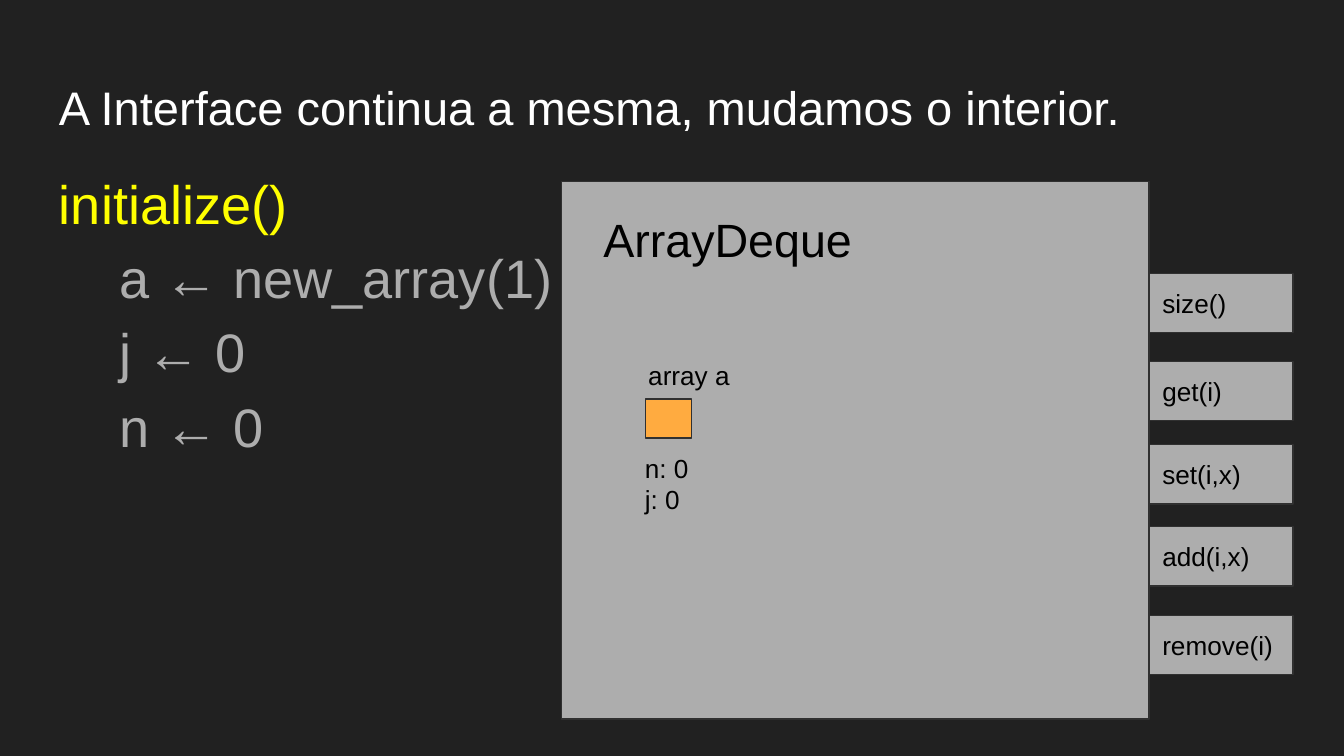
from dataclasses import dataclass
from pptx import Presentation, util as u
from pptx.dml.color import RGBColor
from pptx.enum import shapes, text

PX = 4572


@dataclass(frozen=True)
class Theme:
    background: str = "212121"
    panel: str = "ADADAD"
    cell: str = "FFAB40"
    outline: str = "303030"
    title: str = "FFFFFF"
    highlight: str = "FFFF00"
    ink: str = "000000"
    font: str = "Arial"
    title_size: float = 25.2
    code_size: float = 29
    name_size: float = 25
    label_size: float = 14


THEME = Theme()


def px(*lengths):
    return [u.Emu(length * PX) for length in lengths]


def write(shape, lines, size, colors, anchor=text.MSO_ANCHOR.TOP, **paragraph_format):
    frame = shape.text_frame
    margin = u.Inches(0.1)
    frame_format = {"word_wrap": True, "vertical_anchor": anchor,
                    "margin_left": margin, "margin_right": margin,
                    "margin_top": margin, "margin_bottom": margin}
    for name, value in frame_format.items():
        setattr(frame, name, value)
    for index, (line, color) in enumerate(zip(lines, colors)):
        paragraph = frame.paragraphs[0] if index == 0 else frame.add_paragraph()
        paragraph.alignment = text.PP_ALIGN.LEFT
        for name, value in paragraph_format.items():
            if index or name != "space_before":
                setattr(paragraph, name, value)
        run = paragraph.add_run()
        run.text = line
        for name, value in {"name": THEME.font, "size": u.Pt(size)}.items():
            setattr(run.font, name, value)
        run.font.color.rgb = RGBColor.from_string(color)


def add_text(slide, box, lines, size, colors, **paragraph_format):
    shape = slide.shapes.add_textbox(*px(*box))
    write(shape, lines, size, colors, **paragraph_format)


def add_block(slide, box, fill):
    shape = slide.shapes.add_shape(shapes.MSO_SHAPE.RECTANGLE, *px(*box))
    shape.shadow.inherit = False
    shape.fill.solid()
    shape.fill.fore_color.rgb = RGBColor.from_string(fill)
    shape.line.color.rgb = RGBColor.from_string(THEME.outline)
    shape.line.width = u.Pt(0.75)
    return shape


def add_title(slide, box):
    add_text(slide, box, ["A Interface continua a mesma, mudamos o interior."],
             THEME.title_size, [THEME.title])


def add_code(slide, box):
    lines = ["initialize()", "    a ← new_array(1)", "    j ← 0", "    n ← 0"]
    colors = [THEME.highlight] + [THEME.panel] * (len(lines) - 1)
    add_text(slide, box, lines, THEME.code_size, colors,
             line_spacing=0.8, space_before=u.Pt(12))


def add_deque(slide, box):
    left, top, width, height = box
    add_block(slide, box, THEME.panel)
    add_text(slide, (left + 42, top + 24, 450, 124), ["ArrayDeque"],
             THEME.name_size, [THEME.ink])
    add_text(slide, (left + 109, top + 245, 168, 88), ["array a"],
             THEME.label_size, [THEME.ink])
    add_block(slide, (left + 125, top + 324, 68, 58), THEME.cell)
    add_text(slide, (left + 104, top + 383, 518, 134), ["n: 0", "j: 0"],
             THEME.label_size, [THEME.ink] * 2)


def add_methods(slide, box):
    left, top, width, height = box
    tab_height = 88
    offsets = {"size()": 0, "get(i)": 131, "set(i,x)": 255,
               "add(i,x)": 377, "remove(i)": height - tab_height}
    for method, offset in offsets.items():
        tab = add_block(slide, (left, top + offset, width, tab_height), THEME.panel)
        write(tab, [method], THEME.label_size, [THEME.ink], text.MSO_ANCHOR.MIDDLE)


def main():
    presentation = Presentation()
    presentation.slide_width, presentation.slide_height = px(2000, 1125)
    slide = presentation.slides.add_slide(presentation.slide_layouts[6])
    slide.background.fill.solid()
    slide.background.fill.fore_color.rgb = RGBColor.from_string(THEME.background)
    add_title(slide, (68, 97, 1864, 126))
    add_code(slide, (68, 252, 810, 574))
    add_deque(slide, (836, 270, 874, 800))
    add_methods(slide, (1710, 407, 214, 597))
    presentation.save("out.pptx")


if __name__ == "__main__":
    main()
